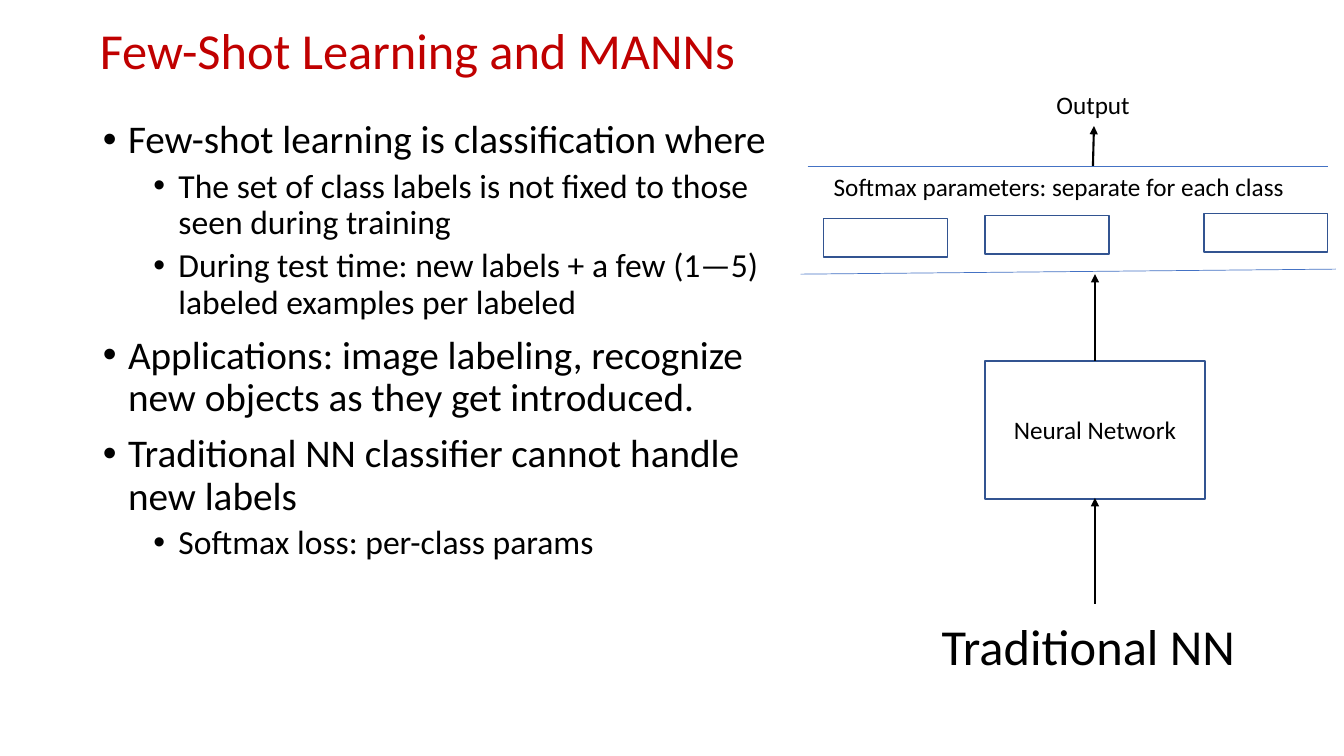
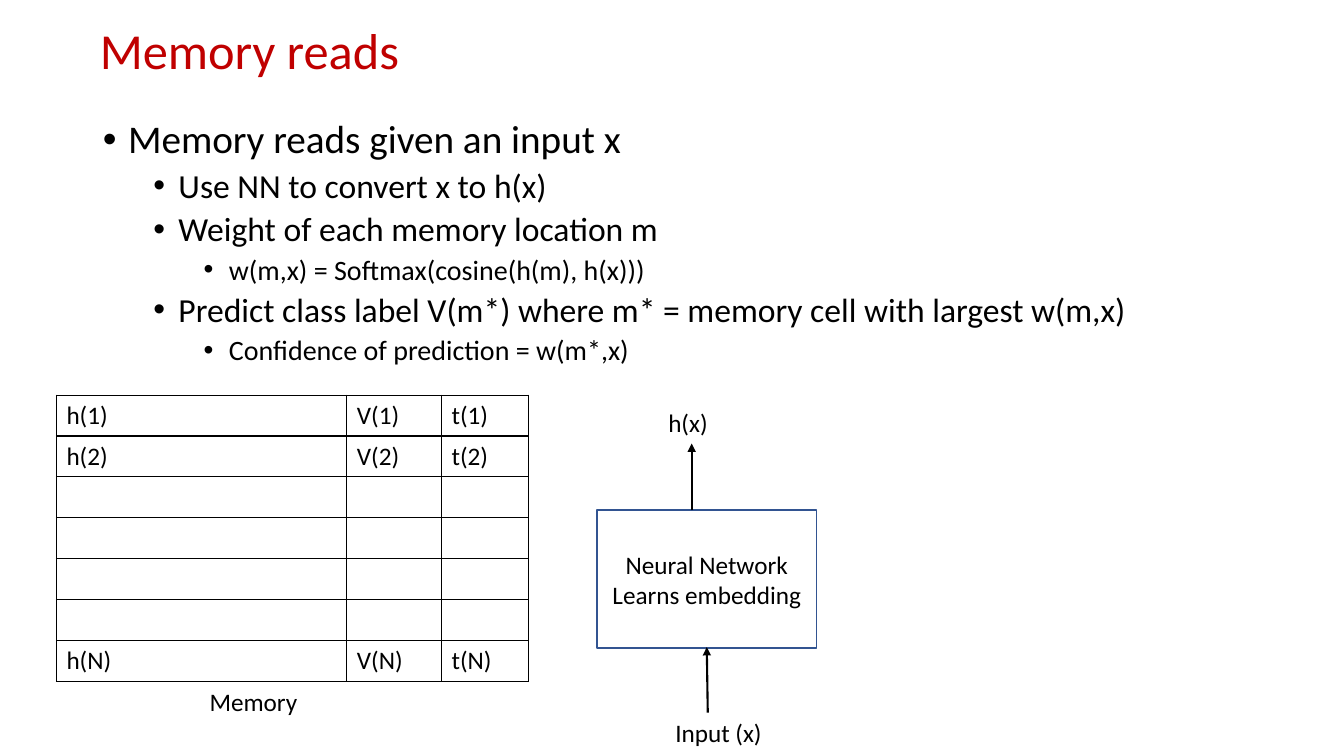
from dataclasses import dataclass

from pptx import Presentation, slide as sl
from pptx.dml.color import RGBColor
from pptx.enum import shapes, text
from pptx.oxml import ns, xmlchemy as xc
from pptx.text import text as txt
from pptx.util import Emu, Inches, Pt


@dataclass(frozen=True)
class Theme:
    font: str = "Calibri"
    title: RGBColor = RGBColor(0xC0, 0x00, 0x00)
    ink: RGBColor = RGBColor(0x00, 0x00, 0x00)
    box: RGBColor = RGBColor(0x32, 0x54, 0x91)
    rule: RGBColor = RGBColor(0x44, 0x72, 0xC4)
    heading: int = 36
    label: int = 18
    bullets: tuple[int, ...] = (28, 24, 20)


THEME = Theme()


@dataclass(frozen=True)
class Box:
    x: float
    y: float
    w: float
    h: float

    @property
    def emu(self) -> tuple[Emu, ...]:
        return tuple(Inches(v) for v in (self.x, self.y, self.w, self.h))


@dataclass(frozen=True)
class Label:
    text: str
    box: Box
    size: int = THEME.label
    wrap: bool = False


@dataclass(frozen=True)
class Line:
    x1: float
    y1: float
    x2: float
    y2: float
    color: RGBColor
    width: float
    arrow: bool = False


@dataclass(frozen=True)
class Bullet:
    level: int
    text: str


TITLE_BOX = Box(0.89, 0, 11.5, 1.06)
NETWORK_W, NETWORK_H = 2.18, 1.37


def add_xml(parent: xc.BaseOxmlElement, tag: str, **attrs: str) -> xc.BaseOxmlElement:
    child = parent.makeelement(ns.qn(tag), attrs)
    parent.append(child)
    return child


def write(p: txt._Paragraph, content: str, *, size: int = THEME.label,
          color: RGBColor = THEME.ink, align: text.PP_ALIGN = text.PP_ALIGN.LEFT,
          spacing: float = 1.0, before: float = 0) -> None:
    p.alignment, p.line_spacing, p.space_before = align, spacing, Pt(before)
    r = p.add_run()
    r.text = content
    r.font.name, r.font.size, r.font.bold = THEME.font, Pt(size), False
    r.font.color.rgb = color


def paragraph(tf: txt.TextFrame, index: int) -> txt._Paragraph:
    """Return the first paragraph of the frame, or a new one."""
    return tf.add_paragraph() if index else tf.paragraphs[0]


def place(sp, box: Box) -> None:
    sp.left, sp.top, sp.width, sp.height = box.emu


def add_content_slide(prs, title: str, bullets: list[Bullet], body_width: float) -> sl.Slide:
    s = prs.slides.add_slide(prs.slide_layouts[1])
    place(s.shapes.title, TITLE_BOX)
    tf = s.shapes.title.text_frame
    tf.auto_size = text.MSO_AUTO_SIZE.NONE
    tf.vertical_anchor = text.MSO_ANCHOR.MIDDLE
    write(tf.paragraphs[0], title, size=THEME.heading, color=THEME.title, spacing=0.9)

    body = s.placeholders[1]
    place(body, Box(0.92, 1.14, body_width, 5.62))
    body.text_frame.auto_size = text.MSO_AUTO_SIZE.NONE
    for i, item in enumerate(bullets):
        p = paragraph(body.text_frame, i)
        p.level = item.level
        write(p, item.text, size=THEME.bullets[item.level], spacing=0.9,
              before=5 if item.level else 10)
        pPr = p._p.get_or_add_pPr()
        pPr.set("marL", str(Inches(0.25 + 0.5 * item.level)))
        pPr.set("indent", str(Inches(-0.25)))
        add_xml(pPr, "a:buFont", typeface="Arial")
        add_xml(pPr, "a:buChar", char="•")
    return s


def add_label(s: sl.Slide, label: Label) -> None:
    tf = s.shapes.add_textbox(*label.box.emu).text_frame
    tf.word_wrap = label.wrap
    write(tf.paragraphs[0], label.text, size=label.size)


def add_box(s: sl.Slide, box: Box, *lines: str) -> None:
    sp = s.shapes.add_shape(shapes.MSO_SHAPE.RECTANGLE, *box.emu)
    sp.shadow.inherit = False
    sp.fill.background()
    sp.line.color.rgb, sp.line.width = THEME.box, Pt(1)
    sp.text_frame.vertical_anchor = text.MSO_ANCHOR.MIDDLE
    for i, line in enumerate(lines):
        write(paragraph(sp.text_frame, i), line, align=text.PP_ALIGN.CENTER)


def add_line(s: sl.Slide, line: Line) -> None:
    ends = (Inches(v) for v in (line.x1, line.y1, line.x2, line.y2))
    c = s.shapes.add_connector(shapes.MSO_CONNECTOR.STRAIGHT, *ends)
    c.line.color.rgb, c.line.width = line.color, Pt(line.width)
    spPr = c._element.spPr
    if line.arrow:
        add_xml(spPr.get_or_add_ln(), "a:tailEnd", type="triangle")
    add_xml(spPr, "a:effectLst")


def arrow(x1: float, y1: float, x2: float, y2: float) -> Line:
    return Line(x1, y1, x2, y2, THEME.ink, 1.5, arrow=True)


def rule(x1: float, y1: float, x2: float, y2: float) -> Line:
    return Line(x1, y1, x2, y2, THEME.rule, 0.5)


def add_grid(s: sl.Slide, box: Box, widths: list[float], rows: list[list[str]]) -> None:
    table = s.shapes.add_table(len(rows), len(widths), *box.emu).table
    table.first_row = table.horz_banding = False
    for col, width in zip(table.columns, widths):
        col.width = Inches(width)
    for row, values in zip(table.rows, rows):
        row.height = Inches(box.h / len(rows))
        for cell, value in zip(row.cells, values):
            tcPr = cell._tc.get_or_add_tcPr()
            for side in "LRTB":
                ln = add_xml(tcPr, f"a:ln{side}", w=str(Pt(1)))
                add_xml(add_xml(ln, "a:solidFill"), "a:srgbClr", val=str(THEME.ink))
            cell.fill.background()
            if value:
                write(cell.text_frame.paragraphs[0], value)


def draw_few_shot(prs) -> None:
    s = add_content_slide(prs, "Few-Shot Learning and MANNs", [
        Bullet(0, "Few-shot learning is classification where"),
        Bullet(1, "The set of class labels is not fixed to those seen during training"),
        Bullet(1, "During test time: new labels + a few (1—5) labeled examples per labeled"),
        Bullet(0, "Applications: image labeling, recognize new objects as they get introduced."),
        Bullet(0, "Traditional NN classifier cannot handle new labels"),
        Bullet(1, "Softmax loss: per-class params"),
    ], body_width=6.81)
    add_box(s, Box(9.77, 3.58, NETWORK_W, NETWORK_H), "Neural Network")
    for x, y in ((8.17, 2.17), (9.77, 2.14), (11.94, 2.12)):
        add_box(s, Box(x, y, 1.23, 0.38))
    for line in (
        arrow(10.86, 5.99, 10.86, 4.94),
        arrow(10.86, 3.58, 10.86, 2.72),
        arrow(10.84, 1.65, 10.85, 1.25),
        rule(8.01, 1.65, 13.17, 1.65),
        rule(7.94, 2.72, 13.25, 2.67),
    ):
        add_line(s, line)
    for label in (
        Label("Output", Box(10.38, 0.84, 0.94, 0.4)),
        Label("Softmax parameters: separate for each class", Box(8.17, 1.65, 4.72, 0.4)),
        Label("Traditional NN", Box(9.24, 6.05, 3.14, 0.71), THEME.heading),
    ):
        add_label(s, label)


def draw_memory_reads(prs) -> None:
    s = add_content_slide(prs, "Memory reads", [
        Bullet(0, "Memory reads given an input x"),
        Bullet(1, "Use NN to convert x to h(x)"),
        Bullet(1, "Weight of each memory location m"),
        Bullet(2, "w(m,x) = Softmax(cosine(h(m), h(x)))"),
        Bullet(1, "Predict class label V(m*) where m* = memory cell with largest w(m,x)"),
        Bullet(2, "Confidence of prediction = w(m*,x)"),
    ], body_width=11.89)
    slots = ["1", "2", "", "", "", "", "N"]
    rows = [[f"{name}({slot})" if slot else "" for name in "hVt"] for slot in slots]
    add_grid(s, Box(0.56, 3.92, 4.68, 2.84), [2.88, 0.94, 0.86], rows)
    add_box(s, Box(5.92, 5.06, NETWORK_W, NETWORK_H), "Neural Network", "Learns embedding")
    add_line(s, arrow(7.02, 7.07, 7.01, 6.42))
    add_line(s, arrow(6.86, 5.06, 6.86, 4.4))
    for label in (
        Label("Memory", Box(1.98, 6.76, 2.44, 0.4), wrap=True),
        Label("Input (x)", Box(6.6, 7.07, 1.07, 0.4)),
        Label("h(x)", Box(6.53, 3.99, 0.6, 0.4)),
    ):
        add_label(s, label)


def main() -> None:
    prs = Presentation()
    prs.slide_width, prs.slide_height = Inches(13.33), Inches(7.5)
    draw_few_shot(prs)
    draw_memory_reads(prs)
    prs.save("out.pptx")


if __name__ == "__main__":
    main()
